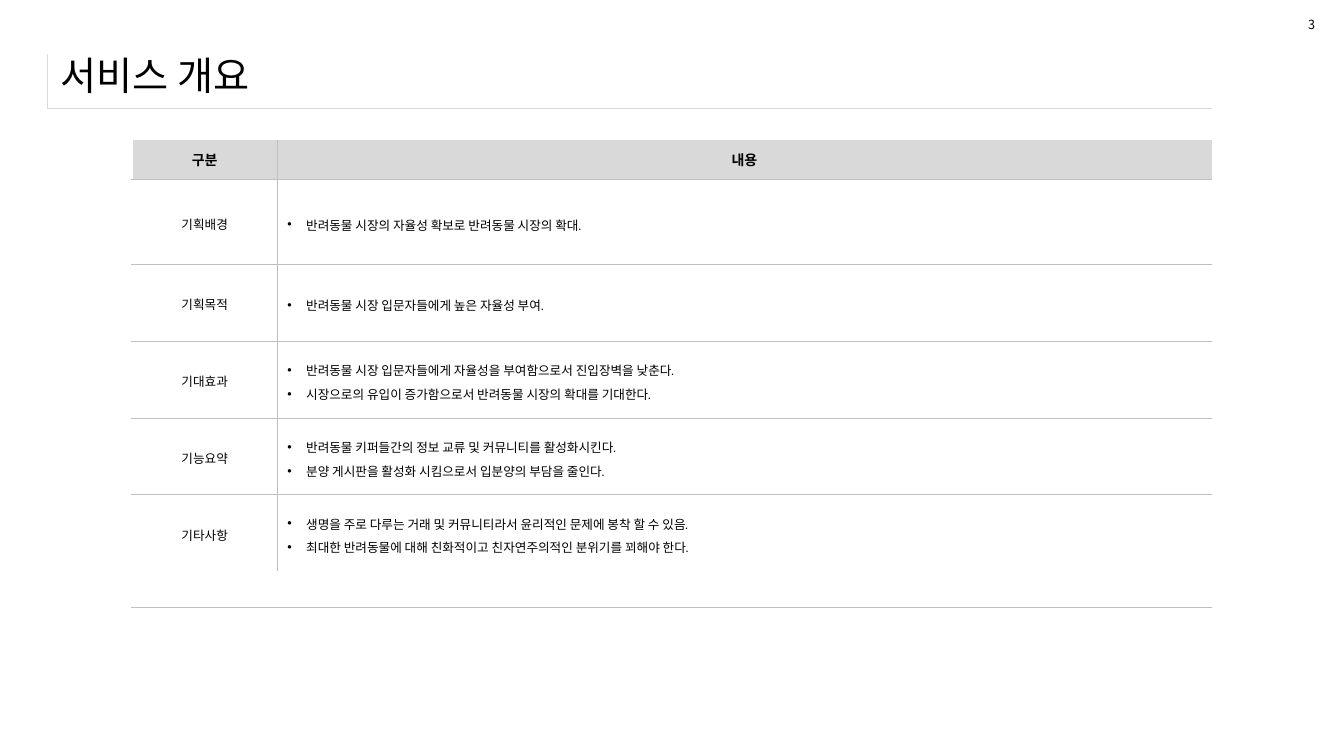
import pptx
import pptx.util
import pptx.dml.color
import pptx.enum.text
import pptx.oxml.ns
from lxml import etree

Pt = pptx.util.Pt
ALIGN = pptx.enum.text.PP_ALIGN
ANCHOR = pptx.enum.text.MSO_ANCHOR
qn = pptx.oxml.ns.qn

COLORS = {"text": "000000", "header": "D9D9D9", "frame": "D9D9D9", "rule": "BFBFBF", "edge": "FFFFFF"}
KOREAN = "Noto Sans CJK KR"
LATIN = "Arial"
HEADINGS = ("구분", "내용")
OVERVIEW = [
    ("기획배경", ["반려동물 시장의 자율성 확보로 반려동물 시장의 확대."]),
    ("기획목적", ["반려동물 시장 입문자들에게 높은 자율성 부여."]),
    ("기대효과", ["반려동물 시장 입문자들에게 자율성을 부여함으로서 진입장벽을 낮춘다.",
              "시장으로의 유입이 증가함으로서 반려동물 시장의 확대를 기대한다."]),
    ("기능요약", ["반려동물 키퍼들간의 정보 교류 및 커뮤니티를 활성화시킨다.",
              "분양 게시판을 활성화 시킴으로서 입분양의 부담을 줄인다."]),
    ("기타사항", ["생명을 주로 다루는 거래 및 커뮤니티라서 윤리적인 문제에 봉착 할 수 있음.",
              "최대한 반려동물에 대해 친화적이고 친자연주의적인 분위기를 꾀해야 한다."]),
]
COLUMN_WIDTHS = (103.7, 667.4)
ROW_HEIGHTS = (28.1, 60.6, 54.8, 54.8, 54.8, 54.8, 26.1)


def style_text(paragraph, size, font=KOREAN, bold=False):
    """Format every run of a paragraph, for Latin and Korean letters."""
    for run in paragraph.runs:
        run.font.size = Pt(size)
        run.font.bold = bold
        run.font.name = font
        run.font.color.rgb = pptx.dml.color.RGBColor.from_string(COLORS["text"])
        korean = etree.SubElement(run.font._element, qn("a:ea"))
        korean.set("typeface", KOREAN)


def style_cell(cell, borders, fill=None):
    """Set the borders, given as side: (colour, width), and the fill of a cell."""
    properties = cell._tc.get_or_add_tcPr()
    for side in "LRTB":
        line = etree.SubElement(properties, qn(f"a:ln{side}"))
        if side in borders:
            color, width = borders[side]
            line.set("w", str(int(Pt(width))))
            solid = etree.SubElement(line, qn("a:solidFill"))
            etree.SubElement(solid, qn("a:srgbClr")).set("val", COLORS[color])
        else:
            etree.SubElement(line, qn("a:noFill"))
    if fill:
        cell.fill.solid()
        cell.fill.fore_color.rgb = pptx.dml.color.RGBColor.from_string(COLORS[fill])
    else:
        cell.fill.background()
    cell.vertical_anchor = ANCHOR.MIDDLE


def shrink_empty(cell):
    """Keep an empty cell from stretching its row."""
    end = etree.SubElement(cell.text_frame.paragraphs[0]._p, qn("a:endParaRPr"))
    end.set("sz", "900")


def add_plain_table(slide, left, top, widths, heights):
    """Add a table without header or band styling."""
    table = slide.shapes.add_table(len(heights), len(widths), Pt(left), Pt(top),
                                   Pt(sum(widths)), Pt(sum(heights))).table
    table.first_row = table.horz_banding = False
    for column, width in zip(table.columns, widths):
        column.width = Pt(width)
    for row, height in zip(table.rows, heights):
        row.height = Pt(height)
    return table


def add_title(slide, left, top, width, height):
    """Place the title and the ruled frame at its lower left."""
    frame = add_plain_table(slide, left, top, [width], [height]).cell(0, 0)
    style_cell(frame, {"L": ("frame", 0.25), "B": ("frame", 0.25)})
    shrink_empty(frame)
    title = slide.shapes.title
    title.left, title.top = Pt(left + 2.2), Pt(top - 9.4)
    title.width, title.height = Pt(width + 67), Pt(48.2)
    title.text_frame.text = "서비스 개요"
    title.text_frame.auto_size = pptx.enum.text.MSO_AUTO_SIZE.NONE
    title.text_frame.vertical_anchor = ANCHOR.MIDDLE
    paragraph = title.text_frame.paragraphs[0]
    paragraph.alignment = ALIGN.LEFT
    style_text(paragraph, 28)


def fill_bullets(cell, points):
    """Write the points of a cell as a justified bullet list."""
    cell.text_frame.text = "\n".join(points)
    for paragraph in cell.text_frame.paragraphs:
        paragraph.alignment = ALIGN.JUSTIFY
        paragraph.line_spacing = 1.3
        properties = paragraph._p.get_or_add_pPr()
        properties.set("marL", str(int(Pt(13.5))))
        properties.set("indent", str(int(Pt(-13.5))))
        etree.SubElement(properties, qn("a:buFont")).set("typeface", LATIN)
        etree.SubElement(properties, qn("a:buChar")).set("char", "•")
        style_text(paragraph, 9, LATIN)


def add_overview(slide, left, top):
    """Place the overview table of topics and their points."""
    table = add_plain_table(slide, left, top, COLUMN_WIDTHS, ROW_HEIGHTS)
    rule, edge = ("rule", 0.25), ("edge", 1)
    for column, heading in enumerate(HEADINGS):
        cell = table.cell(0, column)
        style_cell(cell, {"L": rule, "B": rule} if column else {"L": edge, "R": rule, "B": rule}, "header")
        cell.text_frame.text = heading
        cell.text_frame.paragraphs[0].alignment = ALIGN.CENTER
        style_text(cell.text_frame.paragraphs[0], 10, bold=True)
    for row, (topic, points) in enumerate(OVERVIEW, start=1):
        rules = {"T": rule} if row == len(OVERVIEW) else {"T": rule, "B": rule}
        topic_cell, points_cell = table.cell(row, 0), table.cell(row, 1)
        style_cell(topic_cell, {"L": edge, "R": rule, **rules})
        style_cell(points_cell, {"L": rule, **rules})
        topic_cell.text_frame.text = topic
        paragraph = topic_cell.text_frame.paragraphs[0]
        paragraph.alignment = ALIGN.CENTER
        paragraph.line_spacing = 1.2
        style_text(paragraph, 9, LATIN)
        fill_bullets(points_cell, points)
    last = len(ROW_HEIGHTS) - 1
    for column in range(2):
        cell = table.cell(last, column)
        style_cell(cell, {"B": rule} if column else {"L": edge, "B": rule})
        shrink_empty(cell)
    table.cell(last, 0).merge(table.cell(last, 1))


def add_page_number(slide, left, top, width, height):
    """Place the page number."""
    number = slide.shapes.add_textbox(Pt(left), Pt(top), Pt(width), Pt(height)).text_frame
    number.word_wrap = False
    number.auto_size = pptx.enum.text.MSO_AUTO_SIZE.SHAPE_TO_FIT_TEXT
    number.text = "3"
    style_text(number.paragraphs[0], 9)


def main():
    """Build the service overview slide."""
    deck = pptx.Presentation()
    deck.slide_width, deck.slide_height = Pt(960), Pt(540)
    slide = deck.slides.add_slide(deck.slide_layouts[5])
    add_title(slide, 33.8, 38.9, 832.3, 38.2)
    add_overview(slide, 94.3, 100.1)
    add_page_number(slide, 927.4, 8.6, 19.4, 18)
    deck.save("out.pptx")


if __name__ == "__main__":
    main()
